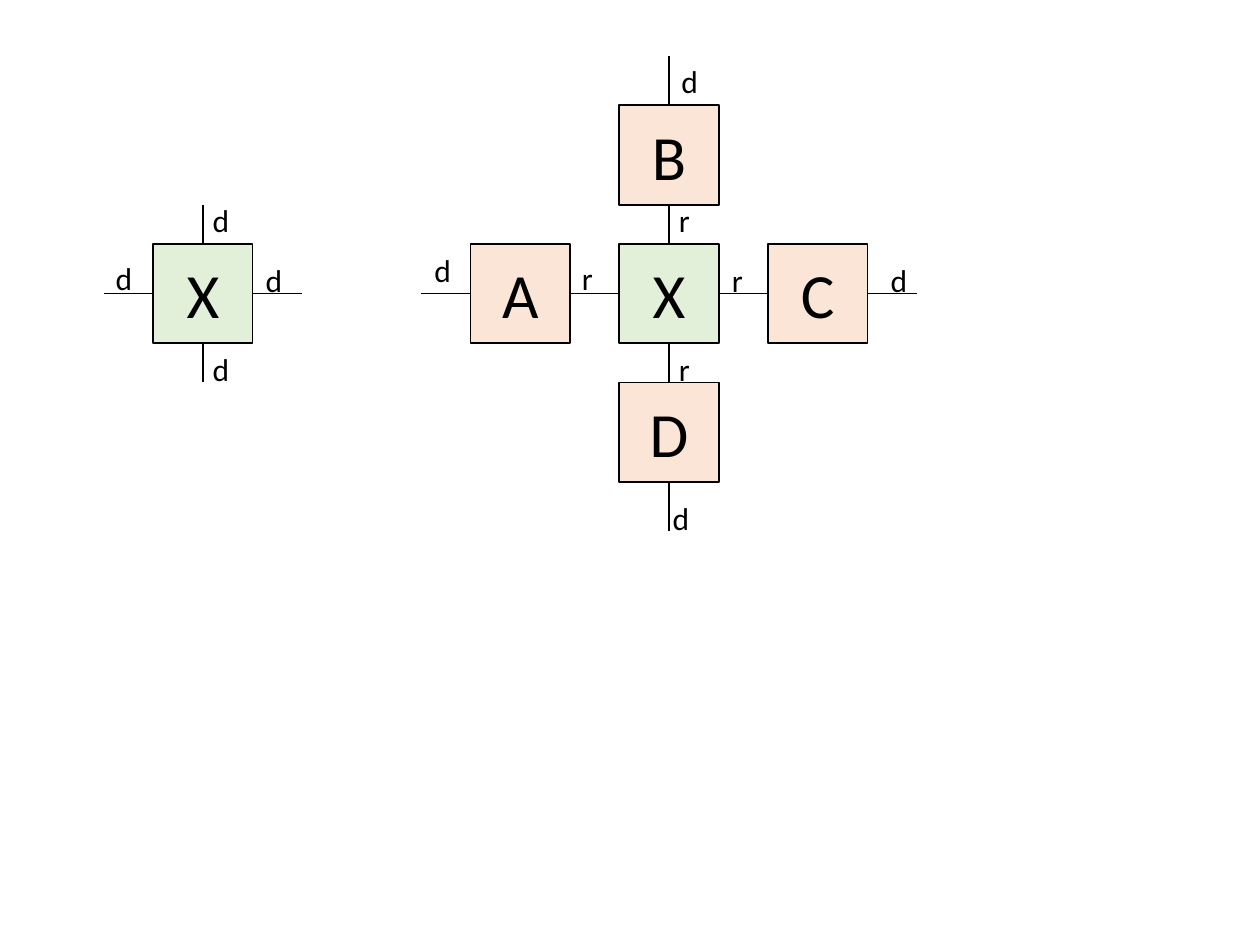
"""Draw a node X with four stubs, and the same node joined to A, B, C and D."""
from lxml import etree
from pptx import Presentation
from pptx.dml.color import RGBColor
from pptx.enum import shapes, text
from pptx.oxml.ns import qn
from pptx.util import Inches, Pt

COLORS = {"node": "E2F0D9", "neighbour": "FBE5D6", "ink": "000000"}
FONT = "Calibri"
SIDE = 0.79
STEP_X, STEP_Y = 1.18, 1.1
STUB = STEP_X - SIDE
GAP_Y = STEP_Y - SIDE
ROW_Y = 2.33
LABEL_HEIGHT = 0.4
LABEL_WIDTHS = {"d": 0.34, "r": 0.29}

DIRECTIONS = {"left": (-1, 0), "right": (1, 0), "up": (0, -1), "down": (0, 1)}
NODES = [("X", 1.61, "d"), ("X", 5.31, "r")]
NODE_LABELS = {"left": (-0.79, -0.32), "right": (0.4, -0.31),
               "up": (-0.02, -0.78), "down": (-0.02, 0.4)}
NEIGHBOURS = [("B", "up", (0, -0.79)), ("C", "right", (0.48, -0.31)),
              ("D", "down", (-0.07, 0.48)), ("A", "left", (-0.78, -0.39))]


def rgb(name):
    return RGBColor.from_string(COLORS[name])


def write(frame, words, size):
    paragraph = frame.paragraphs[0]
    paragraph.text = words
    paragraph.font.name = FONT
    paragraph.font.size = Pt(size)
    paragraph.font.color.rgb = rgb("ink")
    return paragraph


def add_box(slide, name, x, y, color):
    box = slide.shapes.add_shape(
        shapes.MSO_SHAPE.RECTANGLE, Inches(x - SIDE / 2), Inches(y - SIDE / 2),
        Inches(SIDE), Inches(SIDE))
    box.shadow.inherit = False
    box.fill.solid()
    box.fill.fore_color.rgb = rgb(color)
    box.line.color.rgb = rgb("ink")
    box.line.width = Pt(1)
    box.text_frame.vertical_anchor = text.MSO_ANCHOR.MIDDLE
    write(box.text_frame, name, 36).alignment = text.PP_ALIGN.CENTER


def add_stub(slide, x, y, direction, length, label, offset):
    dx, dy = DIRECTIONS[direction]
    near, far = SIDE / 2, SIDE / 2 + length
    stub = slide.shapes.add_connector(
        shapes.MSO_CONNECTOR.STRAIGHT,
        Inches(x + dx * near), Inches(y + dy * near),
        Inches(x + dx * far), Inches(y + dy * far))
    stub.line.color.rgb = rgb("ink")
    stub.line.width = Pt(1)
    etree.SubElement(stub._element.spPr, qn("a:effectLst"))

    caption = slide.shapes.add_textbox(
        Inches(x + offset[0]), Inches(y + offset[1]),
        Inches(LABEL_WIDTHS[label]), Inches(LABEL_HEIGHT))
    caption.text_frame.word_wrap = False
    caption.text_frame.auto_size = text.MSO_AUTO_SIZE.SHAPE_TO_FIT_TEXT
    write(caption.text_frame, label, 18)


def main():
    deck = Presentation()
    deck.slide_width, deck.slide_height = Inches(10), Inches(7.5)
    slide = deck.slides.add_slide(deck.slide_layouts[6])

    for name, x, label in NODES:
        add_box(slide, name, x, ROW_Y, "node")
        for direction, offset in NODE_LABELS.items():
            length = STUB if DIRECTIONS[direction][0] else GAP_Y
            add_stub(slide, x, ROW_Y, direction, length, label, offset)

    hub_x = NODES[-1][1]
    for name, direction, offset in NEIGHBOURS:
        dx, dy = DIRECTIONS[direction]
        x, y = hub_x + dx * STEP_X, ROW_Y + dy * STEP_Y
        add_box(slide, name, x, y, "neighbour")
        add_stub(slide, x, y, direction, STUB, "d", offset)

    deck.save("out.pptx")


if __name__ == "__main__":
    main()
